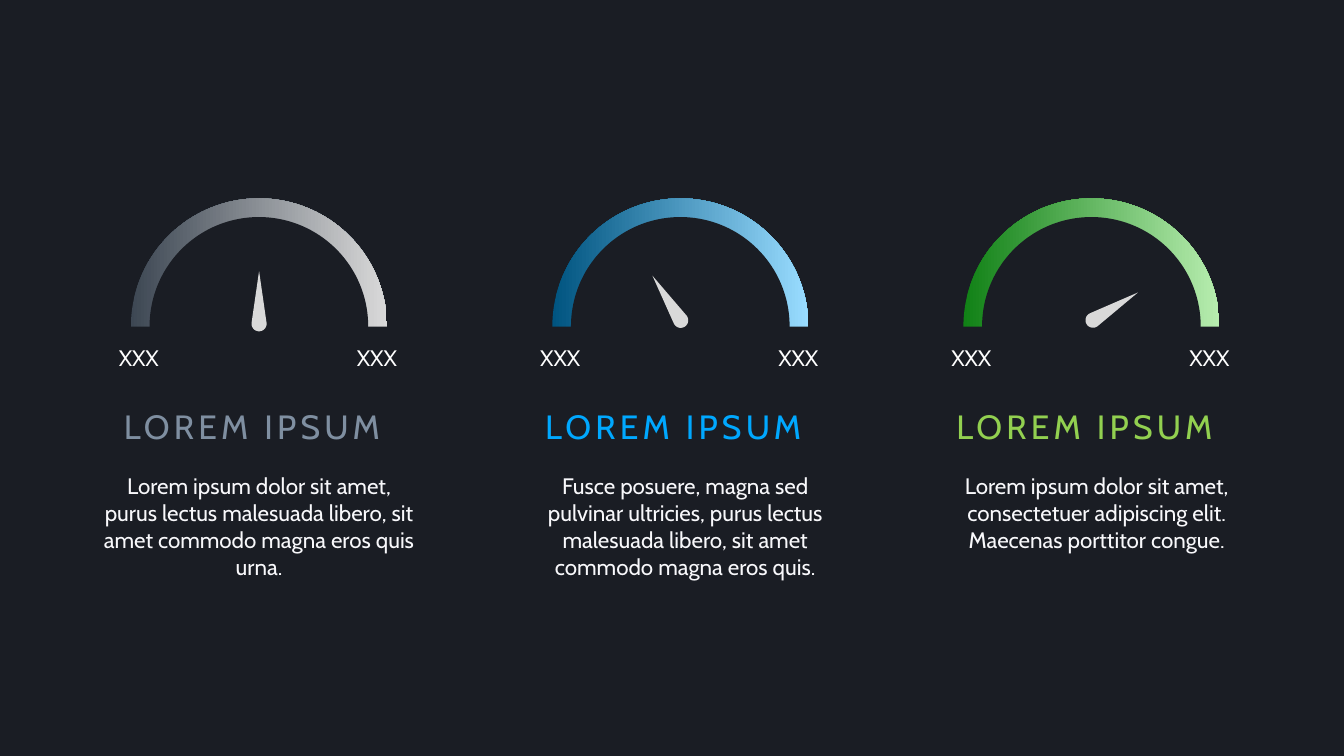
from math import cos, radians, sin

from pptx import Presentation
from pptx.dml.color import RGBColor
from pptx.enum.shapes import MSO_SHAPE
from pptx.enum.text import MSO_AUTO_SIZE, PP_ALIGN
from pptx.util import Cm, Pt

BACKGROUND, NEEDLE, WHITE, BODY = "1A1D24", "D9D9D9", "FFFFFF", "F8F8FB"
DIAL, RING = 6.45, 0.47  # dial diameter and ring thickness
DIAL_TOP = 5.0

# left edge, gradient ends, heading colour, needle centre and angle, body left and text
GAUGES = [
    (3.3, ("3D4753", "D9D9D9"), "7F8FA1", (6.53, 7.59), 0, 2.49,
     "Lorem ipsum dolor sit amet, purus lectus malesuada libero, "
     "sit amet commodo magna eros quis urna."),
    (13.92, ("005480", "99DCFF"), "00A8FF", (16.85, 7.59), 327.6, 13.23,
     "Fusce posuere, magna sed pulvinar ultricies, purus lectus "
     "malesuada libero, sit amet commodo magna eros quis."),
    (24.28, ("118116", "B7EDAF"), "92D050", (28.03, 7.77), 58.3, 23.6,
     "Lorem ipsum dolor sit amet, consectetuer adipiscing elit. "
     "Maecenas porttitor congue."),
]


def color(hex_string):
    return RGBColor.from_string(hex_string)


class GaugeSlide:
    font = "Cabin"

    def __init__(self, presentation):
        self.slide = presentation.slides.add_slide(presentation.slide_layouts[6])
        self.paint(self.slide.background.fill, BACKGROUND)

    def paint(self, fill, hex_string):
        fill.solid()
        fill.fore_color.rgb = color(hex_string)

    def finish(self, shape, fill):
        """Give a shape a plain fill, or a gradient for a pair of colours."""
        shape.shadow.inherit = False
        shape.line.fill.background()
        if isinstance(fill, str):
            self.paint(shape.fill, fill)
            return
        shape.fill.gradient()
        shape.fill.gradient_angle = 0
        for stop, hex_string in zip(shape.fill.gradient_stops, fill):
            stop.color.rgb = color(hex_string)

    def block(self, kind, left, top, width, height, fill):
        shape = self.slide.shapes.add_shape(kind, Cm(left), Cm(top), Cm(width), Cm(height))
        self.finish(shape, fill)

    def needle(self, center, angle, length=1.52, radius=0.19):
        """Draw a pointed needle with a round foot, turned about its centre."""
        x, y = center
        tip = y - length / 2
        foot = y + length / 2 - radius
        outline = [(Cm(x + radius * cos(radians(a))), Cm(foot + radius * sin(radians(a))))
                   for a in range(-10, 191, 10)]
        builder = self.slide.shapes.build_freeform(Cm(x), Cm(tip))
        builder.add_line_segments(outline, close=True)
        shape = builder.convert_to_shape()
        shape.rotation = angle
        self.finish(shape, NEEDLE)

    def text(self, words, left, top, width, height, hex_string, size=16):
        box = self.slide.shapes.add_textbox(Cm(left), Cm(top), Cm(width), Cm(height))
        frame = box.text_frame
        frame.text = words
        frame.word_wrap = True
        frame.auto_size = MSO_AUTO_SIZE.SHAPE_TO_FIT_TEXT
        frame.margin_left = frame.margin_right = frame.margin_top = frame.margin_bottom = 0
        paragraph = frame.paragraphs[0]
        paragraph.alignment = PP_ALIGN.CENTER
        font = paragraph.runs[0].font
        font.name, font.size = self.font, Pt(size)
        font.color.rgb = color(hex_string)
        return frame

    def heading(self, words, left, top, hex_string):
        frame = self.text(words, left, top, 7.67, 1.27, hex_string, size=24)
        frame.word_wrap = False
        frame.margin_left = frame.margin_right = Cm(0.25)
        frame.margin_top = frame.margin_bottom = Cm(0.13)
        paragraph = frame.paragraphs[0]
        paragraph.alignment = PP_ALIGN.LEFT
        paragraph.runs[0]._r.get_or_add_rPr().set("spc", "300")


def main():
    presentation = Presentation()
    presentation.slide_width, presentation.slide_height = Cm(33.87), Cm(19.05)
    page = GaugeSlide(presentation)

    # Dials: a gradient disc with its centre cut out
    for left, gradient, *_ in GAUGES:
        page.block(MSO_SHAPE.OVAL, left, DIAL_TOP, DIAL, DIAL, gradient)
        hole = DIAL - 2 * RING
        page.block(MSO_SHAPE.OVAL, left + RING, DIAL_TOP + RING, hole, hole, BACKGROUND)

    # Band that hides the lower half of the dials
    page.block(MSO_SHAPE.RECTANGLE, 0, 8.23, 33.87, 4.8, BACKGROUND)

    # Needles, scale ends, headings and descriptions
    for left, _, accent, center, angle, body_left, body in GAUGES:
        page.needle(center, angle)
        for offset in (-0.69, 5.31):
            page.text("XXX", left + offset, 8.66, 1.78, 0.69, WHITE)
        page.heading("LOREM IPSUM", left - 0.43, 10.11, accent)
        page.text(body, body_left, 11.91, 8.08, 2.74, BODY)

    presentation.save("out.pptx")


if __name__ == "__main__":
    main()
